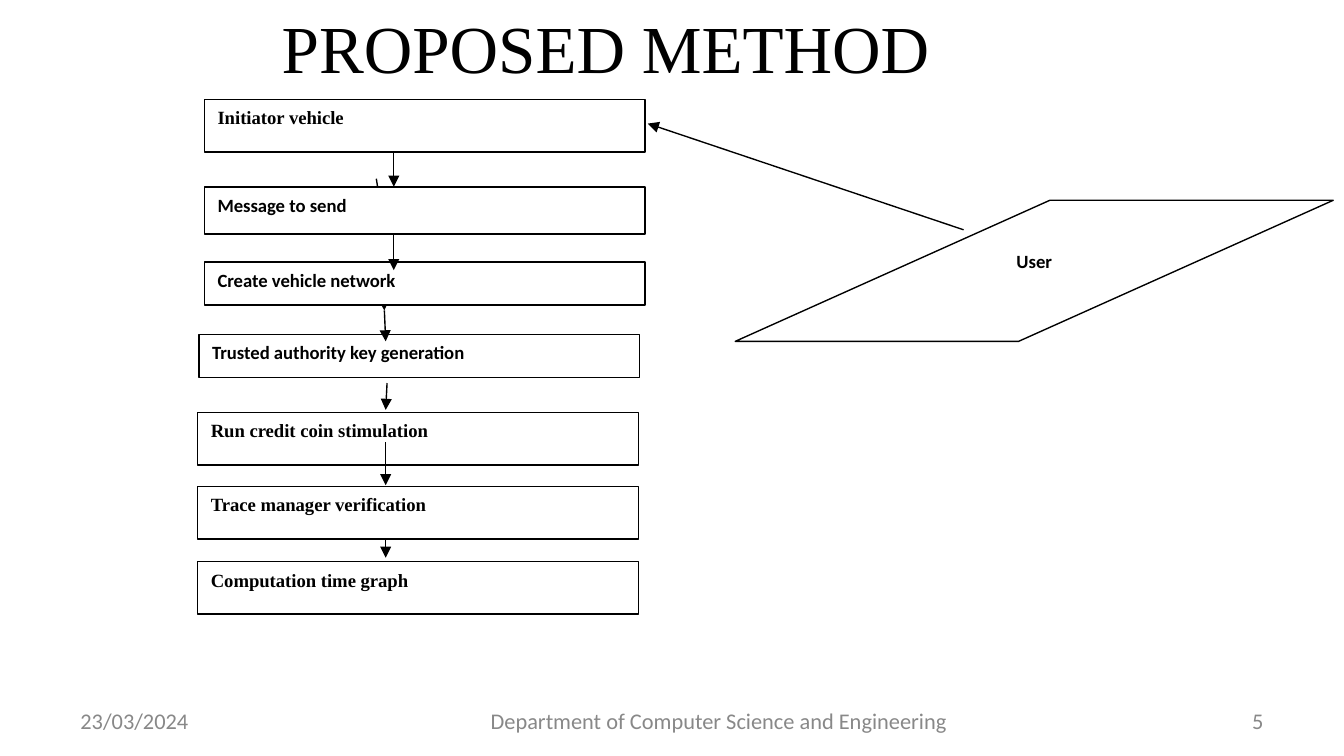
from dataclasses import dataclass

from lxml import etree
from pptx import Presentation
from pptx.dml.color import RGBColor
from pptx.enum.shapes import MSO_CONNECTOR, MSO_SHAPE
from pptx.enum.text import MSO_ANCHOR, PP_ALIGN
from pptx.oxml.ns import qn
from pptx.util import Inches, Pt

LEFT, CENTER, RIGHT = PP_ALIGN.LEFT, PP_ALIGN.CENTER, PP_ALIGN.RIGHT
TOP, MIDDLE = MSO_ANCHOR.TOP, MSO_ANCHOR.MIDDLE
RECTANGLE, PARALLELOGRAM = MSO_SHAPE.RECTANGLE, MSO_SHAPE.PARALLELOGRAM
STRAIGHT = MSO_CONNECTOR.STRAIGHT


@dataclass(frozen=True)
class Theme:
    ink: RGBColor = RGBColor(0, 0, 0)
    paper: RGBColor = RGBColor(255, 255, 255)
    muted: RGBColor = RGBColor(0x88, 0x88, 0x88)
    serif: str = "Times New Roman"
    sans: str = "Calibri"
    title_size: Pt = Pt(36)
    step_size: Pt = Pt(10)
    footer_size: Pt = Pt(12)
    line_width: Pt = Pt(0.75)


theme = Theme()


def write(box, text, align, anchor, color, **font_values):
    frame = box.text_frame
    frame.word_wrap = True
    frame.vertical_anchor = anchor
    para = frame.paragraphs[0]
    para.alignment = align
    span = para.add_run()
    span.text = text
    for name, value in font_values.items():
        setattr(span.font, name, value)
    span.font.color.rgb = color


def add_arrows(page, ends):
    for start_x, start_y, end_x, end_y in ends:
        arrow = page.shapes.add_connector(
            STRAIGHT, Inches(start_x), Inches(start_y), Inches(end_x), Inches(end_y))
        arrow.line.color.rgb = theme.ink
        arrow.line.width = theme.line_width
        properties = arrow.element.spPr
        etree.SubElement(properties.find(qn("a:ln")), qn("a:tailEnd"), type="triangle")
        etree.SubElement(properties, qn("a:effectLst"))


# Wide 16:9 page
deck = Presentation()
deck.slide_width = Inches(10)
deck.slide_height = Inches(10) * 9 // 16
page = deck.slides.add_slide(deck.slide_layouts[6])

# Title, moved right of centre by a wide left margin
title = page.shapes.add_textbox(Inches(0.48), 0, Inches(6.69), Inches(0.69))
title.text_frame.margin_left = Inches(1.46)
write(title, "PROPOSED METHOD", CENTER, MIDDLE, theme.ink,
      name=theme.serif, size=theme.title_size)

# Footer: date, department, slide number
footer = [
    ("23/03/2024", 0.5, 2.33, LEFT),
    ("Department of Computer Science and Engineering", 3.42, 3.86, CENTER),
    ("5", 7.17, 2.33, RIGHT),
]
for text, left, width, align in footer:
    box = page.shapes.add_textbox(Inches(left), Inches(5.21), Inches(width), Inches(0.3))
    write(box, text, align, MIDDLE, theme.muted, name=theme.sans, size=theme.footer_size)

# Arrows partly hidden behind the steps
add_arrows(page, [
    (2.8, 1.33, 2.85, 1.65),
    (2.85, 2.07, 2.86, 2.31),
    (2.87, 3.82, 2.87, 4.15),
])

# User input and process steps
step_width = 3.28
nodes = [
    ("User", PARALLELOGRAM, 5.47, 1.49, 4.45, 1.05, theme.sans, CENTER),
    ("Initiator vehicle", RECTANGLE, 1.52, 0.74, step_width, 0.39, theme.serif, LEFT),
    ("Message to send", RECTANGLE, 1.52, 1.39, step_width, 0.35, theme.sans, LEFT),
    ("Create vehicle network", RECTANGLE, 1.52, 1.95, step_width, 0.32, theme.sans, LEFT),
    ("Trusted authority key generation", RECTANGLE, 1.48, 2.49, step_width, 0.32,
     theme.sans, LEFT),
    ("Run credit coin stimulation", RECTANGLE, 1.47, 3.07, step_width, 0.39,
     theme.serif, LEFT),
    ("Trace manager verification", RECTANGLE, 1.47, 3.62, step_width, 0.39,
     theme.serif, LEFT),
    ("Computation time graph", RECTANGLE, 1.47, 4.18, step_width, 0.39, theme.serif, LEFT),
]
for text, kind, left, top, width, height, font, align in nodes:
    node = page.shapes.add_shape(
        kind, Inches(left), Inches(top), Inches(width), Inches(height))
    if kind == PARALLELOGRAM:
        node.adjustments[0] = 2.23
    node.shadow.inherit = False
    node.fill.solid()
    node.fill.fore_color.rgb = theme.paper
    node.line.color.rgb = theme.ink
    node.line.width = theme.line_width
    write(node, text, align, TOP, theme.ink, name=font, size=theme.step_size, bold=True)

# Arrows in front of the steps
add_arrows(page, [
    (7.17, 1.71, 4.82, 0.92),
    (2.93, 1.14, 2.93, 1.39),
    (2.93, 1.75, 2.93, 2.01),
    (2.86, 2.31, 2.87, 2.54),
    (2.88, 2.85, 2.87, 3.05),
    (2.87, 3.29, 2.87, 3.61),
])

deck.save("out.pptx")
